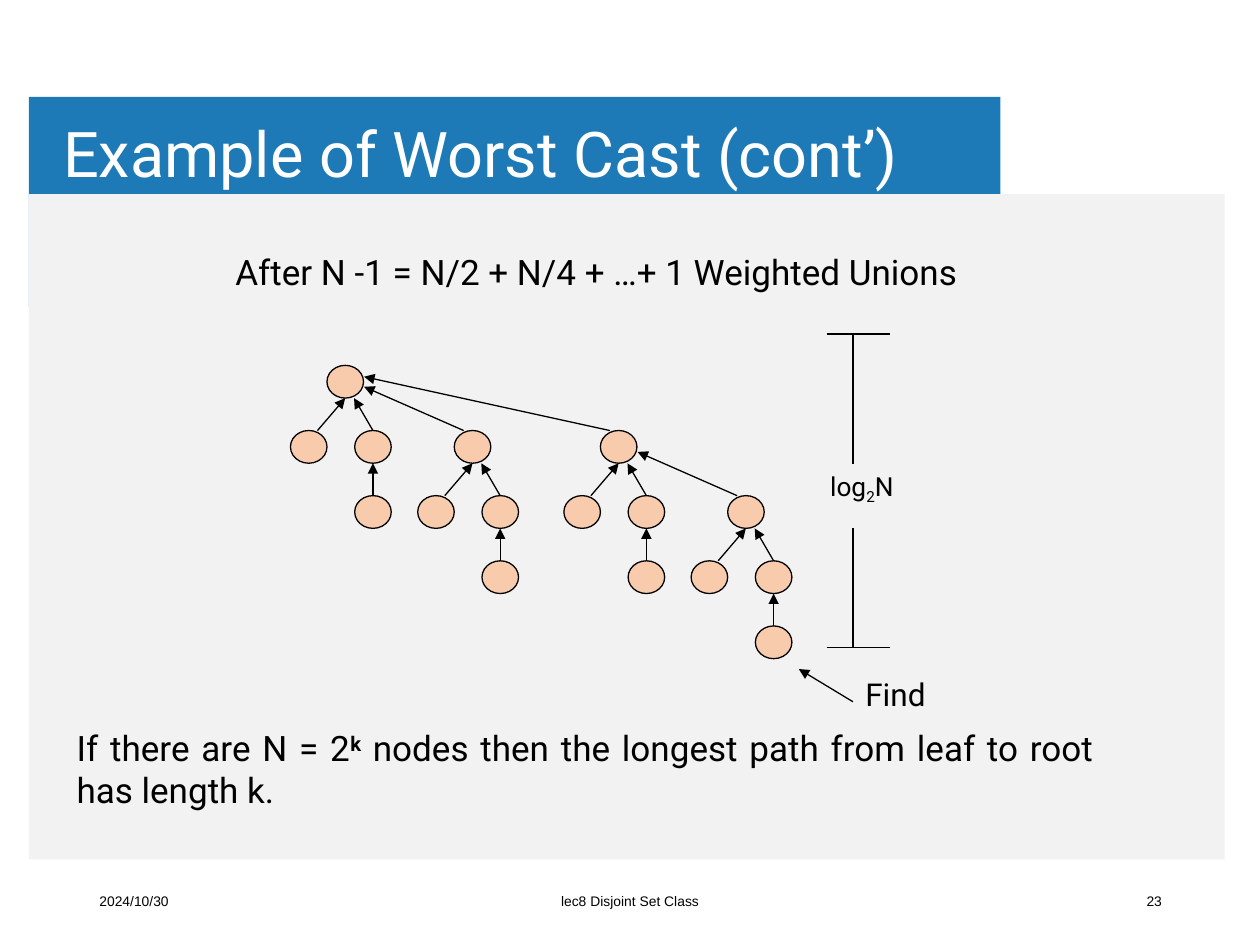
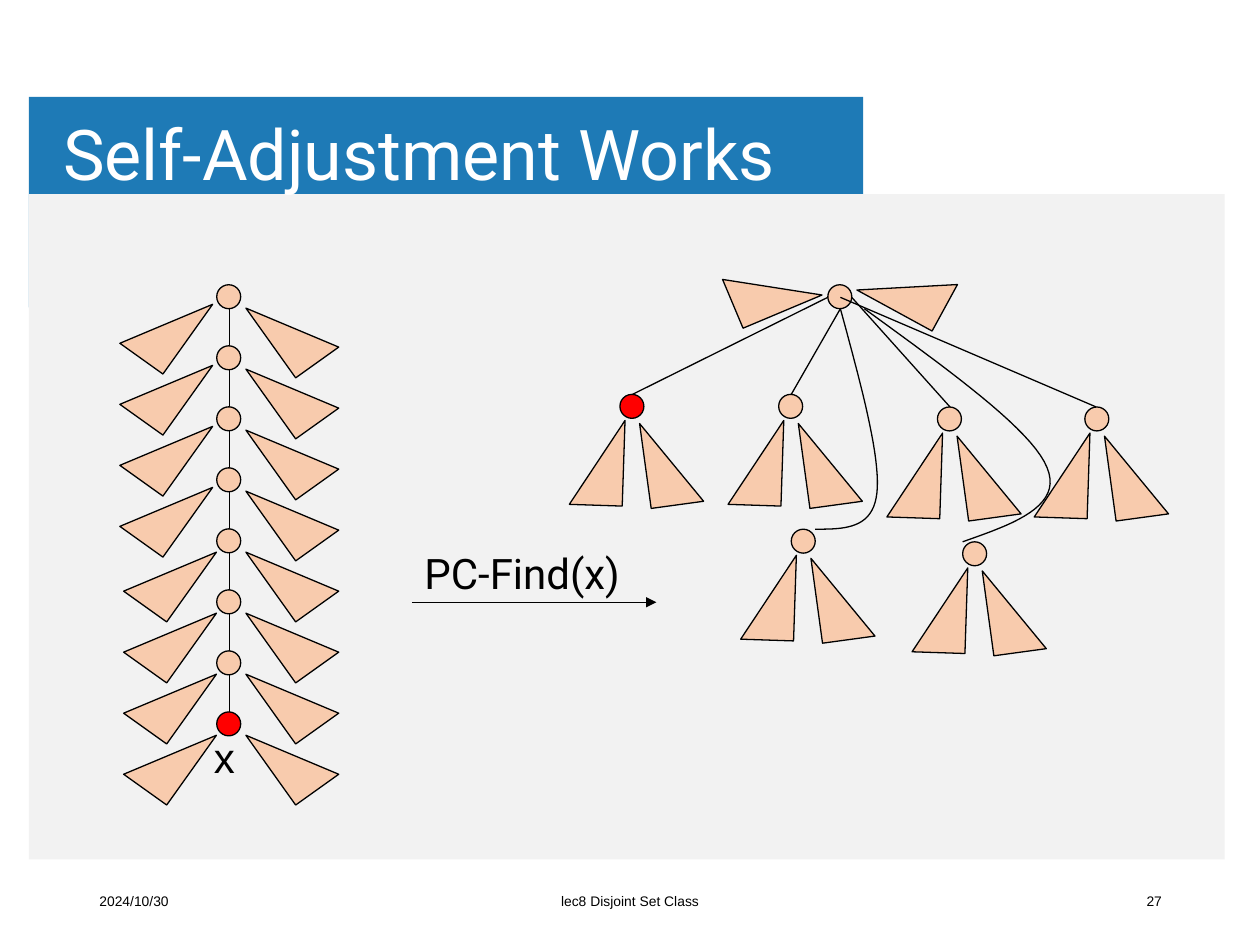
from pptx import Presentation
from pptx.dml.color import RGBColor
from pptx.enum.shapes import MSO_CONNECTOR, MSO_SHAPE
from pptx.enum.text import MSO_ANCHOR, MSO_AUTO_SIZE, PP_ALIGN
from pptx.oxml.ns import qn
from pptx.oxml.xmlchemy import OxmlElement
from pptx.util import Inches, Pt

BLUE, PANEL, PEACH, RED = "1E7AB6", "F2F2F2", "F8CBAD", "FF0000"
BLACK, WHITE = "000000", "FFFFFF"
FOOTER = (
    (0.69, 2.25, "2024/10/30", PP_ALIGN.LEFT),
    (3.31, 3.38, "lec8 Disjoint Set Class", PP_ALIGN.CENTER),
)
NODE_W, NODE_H, ROW = 0.29, 0.26, 0.517
BRANCHES = (
    (-0.29, 0.07, 0, NODE_H),
    (0.22, 0, 0.07, NODE_H),
    (1.01, -0.07, 0.15, 0.17),
    (2.17, -0.07, 0.15, 0.09),
)
DOT, STEP = 0.19, 0.4843


def color(code):
    return RGBColor.from_string(code)


def apply(target, values):
    for name, value in values.items():
        setattr(target, name, value)


def cubic(start, one, two, end, count=20):
    for i in range(1, count + 1):
        t = i / count
        u = 1 - t
        yield tuple(
            u**3 * a + 3 * u * u * t * b + 3 * u * t * t * c + t**3 * d
            for a, b, c, d in zip(start, one, two, end)
        )


class Deck:
    face = "Roboto"
    stroke = Pt(0.75)

    def __init__(self):
        self.show = Presentation()
        self.show.slide_width = Inches(10)
        self.show.slide_height = Inches(7.5)
        self.slide = None

    def page(self, title, size, band, number):
        self.slide = self.show.slides.add_slide(self.show.slide_layouts[5])
        head = self.slide.shapes.title
        for box, fill in (((0.23, 0.77, band, 1.67), BLUE), ((0.23, 1.54, 9.49, 5.28), PANEL)):
            rect = self.shape(MSO_SHAPE.RECTANGLE, *box, fill, edge=False)
            head.element.addprevious(rect.element)
        apply(head, dict(zip(("left", "top", "width", "height"),
                             map(Inches, (0.43, 0.76, 8.03, 0.98)))))
        frame = head.text_frame
        apply(frame, {
            "auto_size": MSO_AUTO_SIZE.NONE, "word_wrap": True,
            "vertical_anchor": MSO_ANCHOR.MIDDLE,
            "margin_left": Inches(0.07), "margin_right": Inches(0.07),
            "margin_top": Inches(0.04), "margin_bottom": Inches(0.04),
        })
        para = frame.paragraphs[0]
        apply(para, {"alignment": PP_ALIGN.LEFT, "line_spacing": 0.9})
        self.run(head, para, title, size, WHITE)
        for left, width, words, align in (*FOOTER, (7.07, 2.25, number, PP_ALIGN.RIGHT)):
            self.text(left, 6.95, width, 0.4, words, 7.9, align, "Arial", MSO_ANCHOR.MIDDLE)

    def run(self, box, para, words, size, ink=BLACK, face=None, base=0, bold=False):
        run = para.add_run()
        run.text = words
        apply(run.font, {"name": face or self.face, "size": Pt(size), "bold": bold})
        run.font.color.rgb = color(ink)
        if base:
            list(box.element.iter(qn("a:rPr")))[-1].set("baseline", str(base * 1000))

    def text(self, left, top, width, height, parts, size,
             align=PP_ALIGN.LEFT, face=None, anchor=MSO_ANCHOR.TOP):
        box = self.slide.shapes.add_textbox(*map(Inches, (left, top, width, height)))
        apply(box.text_frame, {"word_wrap": True, "vertical_anchor": anchor})
        para = box.text_frame.paragraphs[0]
        para.alignment = align
        for words, *style in [(parts,)] if isinstance(parts, str) else parts:
            self.run(box, para, words, size, BLACK, face, *style)

    def shape(self, kind, left, top, width, height, fill, edge=True):
        item = self.slide.shapes.add_shape(kind, *map(Inches, (left, top, width, height)))
        item.shadow.inherit = False
        item.fill.solid()
        item.fill.fore_color.rgb = color(fill)
        if edge:
            self.pen(item)
        else:
            item.line.fill.background()
        return item

    def pen(self, item):
        item.line.color.rgb = color(BLACK)
        item.line.width = self.stroke

    def oval(self, left, top, width, height, fill=PEACH):
        self.shape(MSO_SHAPE.OVAL, left, top, width, height, fill)

    def wedge(self, left, top, turn, flip=False):
        item = self.shape(MSO_SHAPE.RIGHT_TRIANGLE, left, top, 0.42, 0.68, PEACH)
        item.rotation = turn
        if flip:
            item.element.spPr.find(qn("a:xfrm")).set("flipH", "1")

    def line(self, start, end, arrow=False):
        item = self.slide.shapes.add_connector(
            MSO_CONNECTOR.STRAIGHT, *map(Inches, (*start, *end)))
        self.pen(item)
        props = item.element.spPr
        if arrow:
            tip = OxmlElement("a:tailEnd")
            tip.set("type", "triangle")
            props.find(qn("a:ln")).append(tip)
        props.append(OxmlElement("a:effectLst"))

    def curve(self, start, *arcs):
        points = []
        pen = start
        for arc in arcs:
            points.extend(cubic(pen, *arc))
            pen = arc[-1]
        build = self.slide.shapes.build_freeform(*map(Inches, start))
        build.add_line_segments([tuple(map(Inches, p)) for p in points], close=False)
        item = build.convert_to_shape()
        item.shadow.inherit = False
        item.fill.background()
        self.pen(item)

    def tree(self, mid, top, rank):
        self.oval(mid - NODE_W / 2, top, NODE_W, NODE_H)
        kids = ((0, 0, 0, NODE_H),) if rank == 1 else BRANCHES[:rank]
        for order, (shift, out, side, drop) in enumerate(kids):
            child = mid + shift
            self.tree(child, top + ROW, order)
            self.line((child + out, top + ROW), (mid + side, top + drop), True)

    def fan(self, left, top, fill=PEACH):
        self.oval(left, top, DOT, DOT, fill)
        self.wedge(left - 0.39, top + 0.2, 1.9, True)
        self.wedge(left + 0.2, top + 0.2, 352.2)


def worst(deck):
    deck.page("Example of Worst Cast (cont’)", 36, 7.71, "23")
    deck.text(1.77, 1.94, 6.46, 0.44, "After N -1 = N/2 + N/4 + …+ 1 Weighted Unions", 20)
    deck.text(0.51, 5.72, 8.27, 0.77, [
        ("If there are N = 2",), ("k", 30, True),
        (" nodes then the longest path from leaf to root has length k.",),
    ], 20, PP_ALIGN.JUSTIFY)
    deck.tree(2.74, 2.9, 4)
    deck.text(6.77, 5.31, 0.83, 0.4, "Find", 18)
    deck.line((6.77, 5.57), (6.34, 5.31), True)
    for end, gap in ((2.65, 3.68), (5.14, 4.19)):
        deck.line((6.56, end), (7.06, end))
        deck.line((6.77, min(end, gap)), (6.77, max(end, gap)))
    deck.text(6.49, 3.68, 0.85, 0.35, [("log",), ("2", -25), ("N",)], 15)


def adjust(deck):
    deck.page("Self-Adjustment Works", 40, 6.62, "27")
    for i in range(8):
        top = 2.26 + i * STEP
        last = i == 7
        deck.oval(1.72, top, DOT, DOT, RED if last else PEACH)
        if not last:
            deck.line((1.82, top + DOT), (1.82, top + STEP))
        deck.wedge(2.11, top, 324.5)
        left, lift = (1.11, 0.03) if i < 4 else (1.14, 0)
        deck.wedge(left, top - lift, 35.5, True)
    deck.line((3.27, 4.78), (5.21, 4.78), True)
    deck.oval(6.57, 2.26, DOT, DOT)
    deck.wedge(6.99, 1.94, 298.6)
    deck.wedge(5.92, 1.94, 67.2, True)
    deck.fan(4.92, 3.13, RED)
    for spot in ((6.18, 3.13), (7.44, 3.23), (8.61, 3.23), (6.28, 4.2), (7.64, 4.3)):
        deck.fan(*spot)
    for start, end in (
        ((6.67, 2.45), (6.28, 3.13)), ((6.76, 2.36), (7.54, 3.23)),
        ((6.57, 2.36), (5.02, 3.13)), ((6.67, 2.36), (8.7, 3.23)),
    ):
        deck.line(start, end)
    deck.curve((6.67, 2.45), ((6.83, 3.04), (6.99, 3.62), (6.96, 3.91)),
               ((6.93, 4.2), (6.7, 4.2), (6.47, 4.2)))
    deck.curve((6.86, 2.45), ((7.52, 2.93), (8.19, 3.41), (8.31, 3.71)),
               ((8.44, 4.02), (8.04, 4.16), (7.64, 4.3)))
    deck.text(3.27, 4.3, 1.96, 0.5, "PC-Find(x)", 24)
    deck.text(1.6, 5.76, 0.47, 0.5, "x", 24, face="Arial")


def main():
    deck = Deck()
    worst(deck)
    adjust(deck)
    deck.show.save("out.pptx")


if __name__ == "__main__":
    main()
